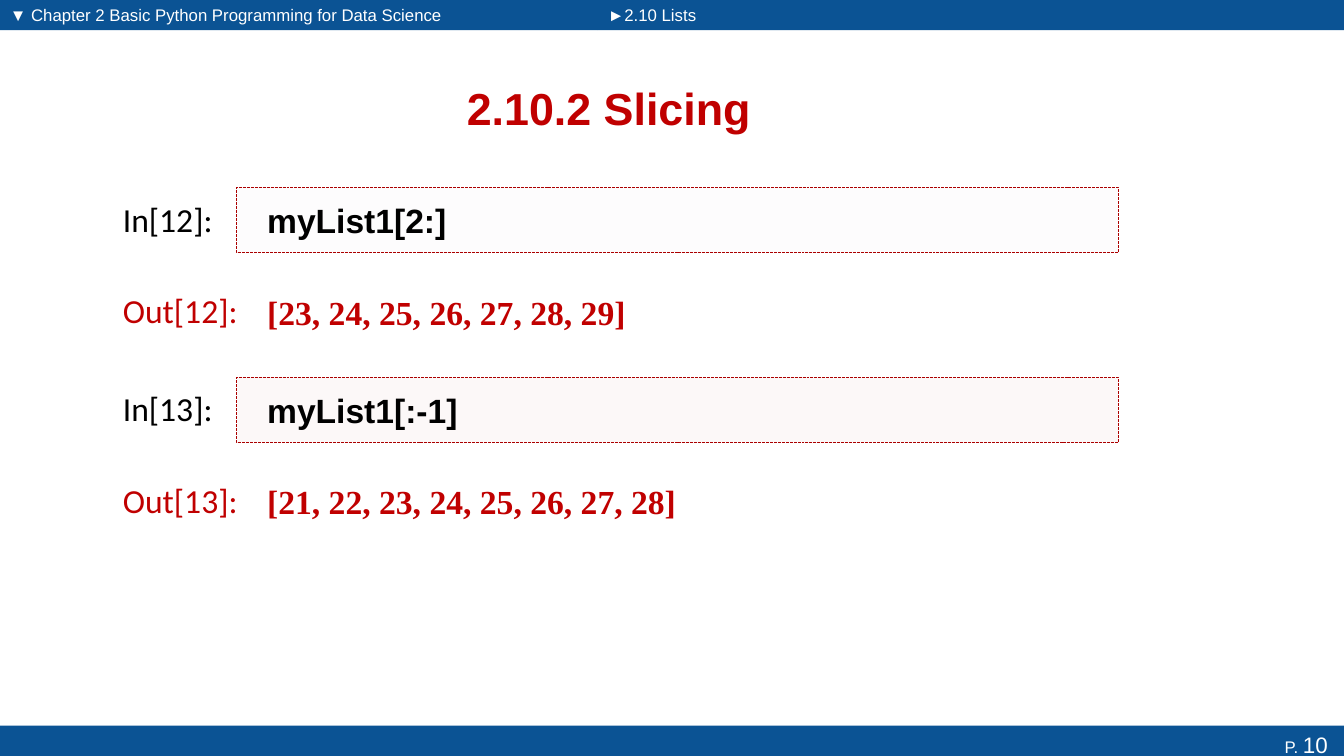
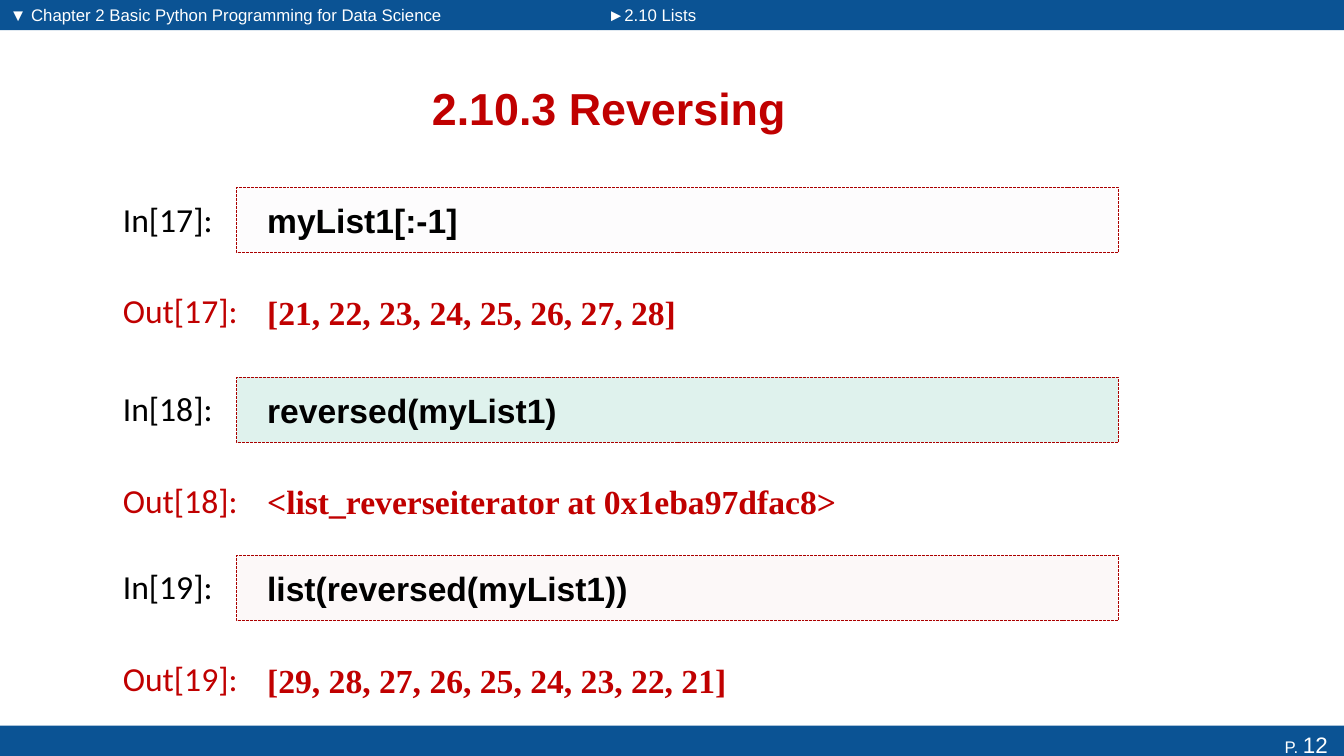
from pptx import Presentation
from pptx.dml.color import RGBColor
from pptx.enum.dml import MSO_LINE
from pptx.enum.shapes import MSO_SHAPE
from pptx.enum.text import MSO_ANCHOR as ANCHOR, PP_ALIGN as ALIGN
from pptx.oxml.ns import qn
from pptx.util import Inches, Pt
from lxml import etree

COLORS = {
    "band": "0B5394", "white": "FFFFFF", "black": "000000", "red": "C00000",
    "border": "AB0000", "gray": "F1EEF4", "pink": "EDCDCB", "green": "0C9B74",
}
CHAPTER = "▼ Chapter 2 Basic Python Programming for Data Science"
SECTION = "►2.10 Lists"
SLIDES = [
    {"title": "2.10.2 Slicing", "page": 10, "cells": [
        (12, "myList1[2:]", "[23, 24, 25, 26, 27, 28, 29]", "gray"),
        (13, "myList1[:-1]", "[21, 22, 23, 24, 25, 26, 27, 28]", "pink"),
    ]},
    {"title": "2.10.3 Reversing", "page": 12, "cells": [
        (17, "myList1[:-1]", "[21, 22, 23, 24, 25, 26, 27, 28]", "gray"),
        (18, "reversed(myList1)", "<list_reverseiterator at 0x1eba97dfac8>", "green"),
        (19, "list(reversed(myList1))", "[29, 28, 27, 26, 25, 24, 23, 22, 21]", "pink"),
    ]},
]

WIDTH, HEIGHT = 13.33, 7.5
SPLIT, BAND_H = 5.93, 0.3
CELL_TOPS = [1.86, 3.74, 5.51]
LABEL_X, LABEL_DY, LABEL_H = 1.12, 0.06, 0.5
CODE_X, CODE_W, CODE_H = 2.35, 8.74, 0.65
OUT_DY = 0.91


def color(name):
    return RGBColor.from_string(COLORS[name])


def box(*sizes):
    return [Inches(v) for v in sizes]


def style(run, size, font, fill, bold=False):
    run.font.size, run.font.name, run.font.bold = Pt(size), font, bold
    run.font.color.rgb = color(fill)


def add_rect(shapes, place, fill):
    sp = shapes.add_shape(MSO_SHAPE.RECTANGLE, *box(*place))
    sp.shadow.inherit = False
    sp.fill.solid()
    sp.fill.fore_color.rgb = color(fill)
    sp.line.fill.background()
    return sp


def add_band(slide, place, parts, align=ALIGN.LEFT, anchor=ANCHOR.MIDDLE):
    tf = add_rect(slide.shapes, place, "band").text_frame
    tf.vertical_anchor = anchor
    tf.margin_right = Inches(0.16)
    p = tf.paragraphs[0]
    p.alignment = align
    for text, size in parts:
        r = p.add_run()
        r.text = text
        style(r, size, "Arial", "white")


def add_label(shapes, text, top, width, fill):
    sp = shapes.add_textbox(*box(LABEL_X, top + LABEL_DY, width, LABEL_H))
    sp.text_frame.text = text
    style(sp.text_frame.paragraphs[0].runs[0], 24, "Calibri", fill)


def set_cell_text(sp, text, font, fill):
    tf = sp.text_frame
    tf.word_wrap = True
    tf.vertical_anchor = ANCHOR.MIDDLE
    tf.margin_left = Inches(0.3)
    tf.text = text
    p = tf.paragraphs[0]
    p.alignment = ALIGN.LEFT
    style(p.runs[0], 24, font, fill, True)


def add_cell(slide, top, number, code, output, tint):
    shapes = slide.shapes.add_group_shape().shapes
    add_label(shapes, f"In[{number}]:", top, 1.11, "black")
    sp = add_rect(shapes, (CODE_X, top, CODE_W, CODE_H), tint)
    clr = sp.fill._xPr.find(qn("a:solidFill"))[0]
    etree.SubElement(clr, qn("a:alpha"), val="13000")
    sp.line.color.rgb = color("border")
    sp.line.width = Pt(0.7)
    sp.line.dash_style = MSO_LINE.SQUARE_DOT
    set_cell_text(sp, code, "Arial", "black")

    out_top = top + OUT_DY
    add_label(shapes, f"Out[{number}]:", out_top, 1.35, "red")
    result = shapes.add_textbox(*box(CODE_X, out_top, CODE_W, CODE_H))
    set_cell_text(result, output, "Times New Roman", "red")


def set_title(slide, text):
    title = slide.shapes.title
    title.left, title.top, title.width, title.height = box(0.68, 0.62, 10.72, 0.9)
    tf = title.text_frame
    tf.text = text
    tf.vertical_anchor = ANCHOR.MIDDLE
    p = tf.paragraphs[0]
    p.alignment = ALIGN.CENTER
    style(p.runs[0], 32, "Arial", "red", True)


def build_slide(prs, content):
    slide = prs.slides.add_slide(prs.slide_layouts[5])
    add_band(slide, (0, 0, SPLIT, BAND_H), [(CHAPTER, 12)])
    add_band(slide, (SPLIT, 0, WIDTH - SPLIT, BAND_H), [(SECTION, 12)])
    add_band(slide, (0, HEIGHT - BAND_H, WIDTH, 0.37),
             [("P. ", 12), (str(content["page"]), 16)], ALIGN.RIGHT, ANCHOR.TOP)
    set_title(slide, content["title"])
    for top, cell in zip(CELL_TOPS, content["cells"]):
        add_cell(slide, top, *cell)


def main():
    prs = Presentation()
    prs.slide_width, prs.slide_height = box(WIDTH, HEIGHT)
    for content in SLIDES:
        build_slide(prs, content)
    prs.save("out.pptx")


if __name__ == "__main__":
    main()
